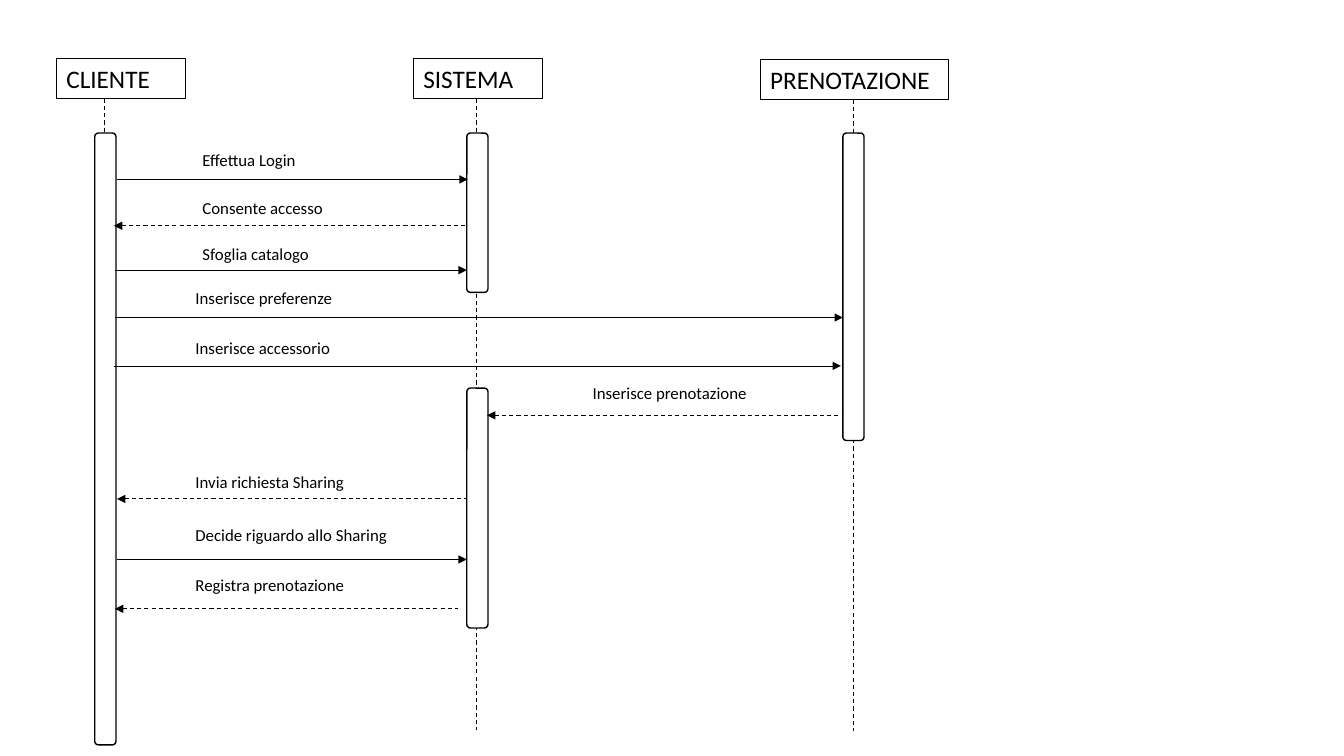
import dataclasses

import pptx
import pptx.dml.color
import pptx.enum.dml
import pptx.enum.shapes
import pptx.enum.text
import pptx.oxml.ns
import pptx.oxml.xmlchemy
import pptx.util
from pptx.util import Inches


@dataclasses.dataclass(frozen=True)
class Theme:
    ink: pptx.dml.color.RGBColor = pptx.dml.color.RGBColor(0, 0, 0)
    paper: pptx.dml.color.RGBColor = pptx.dml.color.RGBColor(255, 255, 255)
    font: str = "Calibri"
    header_size: int = 18
    message_size: int = 12
    bar_line: float = 1
    thin_line: float = 0.75
    call_line: float = 0.5


THEME = Theme()
HEADER_HEIGHT = 0.4
BAR_WIDTH = 0.21
BAR_TOP = 1.32
SHAPES = pptx.enum.shapes.MSO_SHAPE

PARTICIPANTS = [
    ("CLIENTE", 0.56, 0.58, 1.28, 1.04, BAR_TOP),
    ("SISTEMA", 4.1, 0.58, 1.28, 4.73, 7.24),
    ("PRENOTAZIONE", 7.54, 0.59, 1.87, 8.47, 7.25),
]
ACTIVATIONS = [
    (0.94, BAR_TOP, 6.07, False),
    (4.63, BAR_TOP, 1.58, True),
    (4.63, 3.85, 2.38, True),
    (8.36, BAR_TOP, 3.05, True),
]
MESSAGES = [
    ("Effettua Login", 1.91, 1.44, 2.26, 1.16, 4.64, 1.78, False),
    ("Consente accesso", 1.91, 1.91, 2.26, 1.13, 4.61, 2.24, True),
    ("Sfoglia catalogo", 1.91, 2.37, 1.45, 1.14, 4.63, 2.68, False),
    ("Inserisce preferenze", 1.84, 2.81, 1.79, 1.14, 8.36, 3.15, False),
    ("Inserisce accessorio", 1.84, 3.3, 1.79, 1.13, 8.34, 3.63, False),
    ("Inserisce prenotazione", 5.78, 3.75, 1.76, 4.83, 8.36, 4.12, True),
    ("Invia richiesta Sharing", 1.84, 4.63, 1.79, 1.16, 4.63, 4.95, True),
    ("Decide riguardo allo Sharing", 1.84, 5.16, 2.26, 1.16, 4.63, 5.55, False),
    ("Registra prenotazione", 1.84, 5.65, 1.85, 1.14, 4.54, 6.04, True),
]


def write_text(shape, text, size):
    frame = shape.text_frame
    frame.word_wrap = True
    frame.auto_size = pptx.enum.text.MSO_AUTO_SIZE.SHAPE_TO_FIT_TEXT
    frame.vertical_anchor = pptx.enum.text.MSO_ANCHOR.TOP
    paragraph = frame.paragraphs[0]
    paragraph.text = text
    paragraph.alignment = pptx.enum.text.PP_ALIGN.LEFT
    paragraph.font.name = THEME.font
    paragraph.font.size = pptx.util.Pt(size)
    paragraph.font.color.rgb = THEME.ink


def add_box(slide, kind, left, top, width, height, line_width, filled=False):
    shape = slide.shapes.add_shape(
        kind, Inches(left), Inches(top), Inches(width), Inches(height))
    shape.shadow.inherit = False
    if filled:
        shape.fill.solid()
        shape.fill.fore_color.rgb = THEME.paper
    else:
        shape.fill.background()
    shape.line.color.rgb = THEME.ink
    shape.line.width = pptx.util.Pt(line_width)
    return shape


def add_line(slide, start, end, dashed, arrow_end=None):
    line = slide.shapes.add_connector(
        pptx.enum.shapes.MSO_CONNECTOR.STRAIGHT,
        *(Inches(value) for value in start + end))
    line.line.color.rgb = THEME.ink
    line.line.width = pptx.util.Pt(THEME.thin_line if dashed else THEME.call_line)
    if dashed:
        line.line.dash_style = pptx.enum.dml.MSO_LINE.DASH
    properties = line._element.spPr
    if arrow_end:
        arrow = pptx.oxml.xmlchemy.OxmlElement(arrow_end)
        arrow.set("type", "triangle")
        properties.find(pptx.oxml.ns.qn("a:ln")).append(arrow)
    properties.append(pptx.oxml.xmlchemy.OxmlElement("a:effectLst"))


def add_participant(slide, name, left, top, width, axis, lifeline_end):
    bottom = top + HEADER_HEIGHT
    add_line(slide, (axis, bottom), (axis, lifeline_end), dashed=True)
    header = add_box(slide, SHAPES.RECTANGLE, left, top, width,
                     HEADER_HEIGHT, THEME.thin_line)
    write_text(header, name, THEME.header_size)


def add_message(slide, text, left, top, width, start, end, height, is_reply):
    add_line(slide, (start, height), (end, height), is_reply,
             "a:headEnd" if is_reply else "a:tailEnd")
    label = slide.shapes.add_textbox(
        Inches(left), Inches(top), Inches(width), Inches(0.3))
    write_text(label, text, THEME.message_size)


def main():
    presentation = pptx.Presentation()
    presentation.slide_width = Inches(13.33)
    presentation.slide_height = Inches(7.5)
    slide = presentation.slides.add_slide(presentation.slide_layouts[6])
    for participant in PARTICIPANTS:
        add_participant(slide, *participant)
    for left, top, height, filled in ACTIVATIONS:
        add_box(slide, SHAPES.ROUNDED_RECTANGLE, left, top, BAR_WIDTH,
                height, THEME.bar_line, filled)
    for message in MESSAGES:
        add_message(slide, *message)
    presentation.save("out.pptx")


main()
